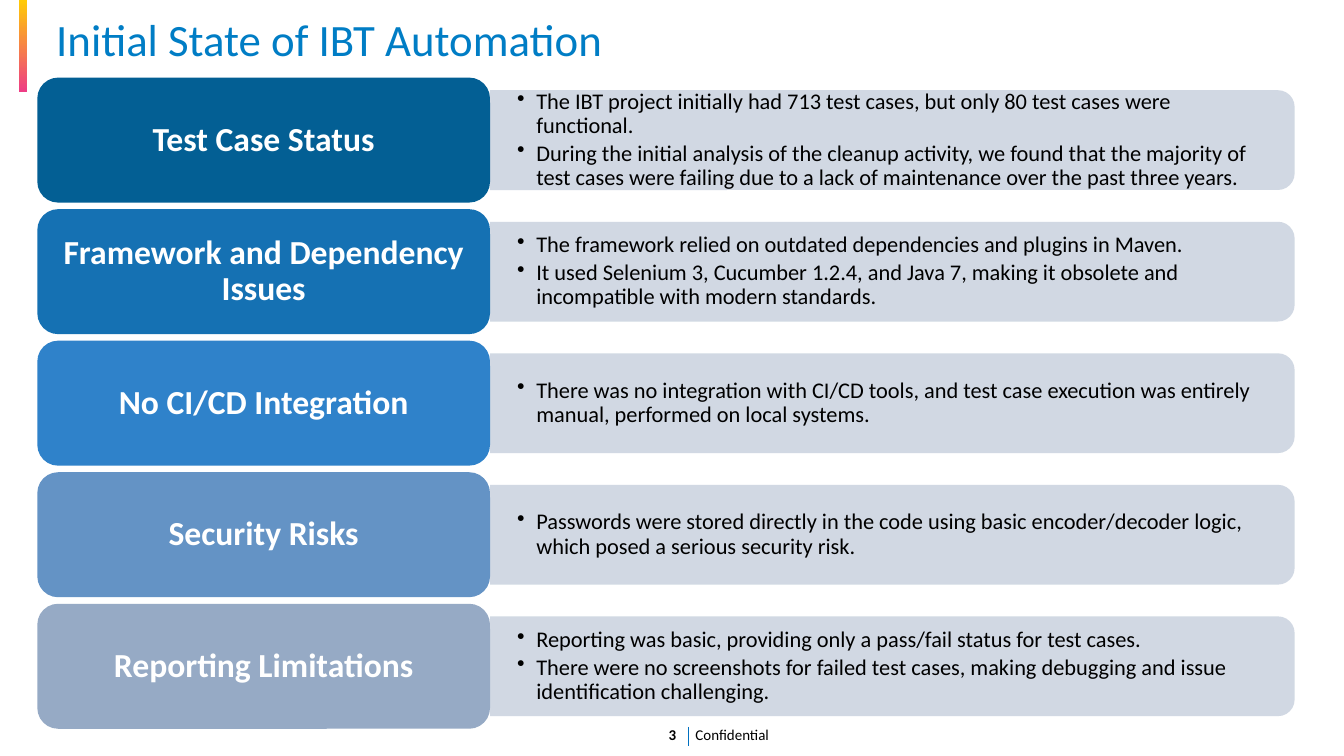
from lxml import etree
from pptx import Presentation
from pptx import util as u
from pptx.dml.color import RGBColor
from pptx.enum import shapes, text
from pptx.oxml.ns import qn

THEME = {
    "font": "Calibri", "title": "007DC5", "ink": "000000", "white": "FFFFFF",
    "panel": "CCD4E0", "panel_alpha": 90, "divider": "0070C0",
    "accent": ("FFCB05", "EE3D85"),
    "title_size": 32, "card_size": 24, "body_size": 16, "footer_size": 10.7,
}
ROWS = [
    ("Test Case Status", "035F94", [
        "The IBT project initially had 713 test cases, but only 80 test cases were functional.",
        "During the initial analysis of the cleanup activity, we found that the majority of "
        "test cases were failing due to a lack of maintenance over the past three years."]),
    ("Framework and Dependency Issues", "1571B3", [
        "The framework relied on outdated dependencies and plugins in Maven.",
        "It used Selenium 3, Cucumber 1.2.4, and Java 7, making it obsolete and "
        "incompatible with modern standards."]),
    ("No CI/CD Integration", "2F82CA", [
        "There was no integration with CI/CD tools, and test case execution was entirely "
        "manual, performed on local systems."]),
    ("Security Risks", "6493C5", [
        "Passwords were stored directly in the code using basic encoder/decoder logic, "
        "which posed a serious security risk."]),
    ("Reporting Limitations", "96AAC5", [
        "Reporting was basic, providing only a pass/fail status for test cases.",
        "There were no screenshots for failed test cases, making debugging and issue "
        "identification challenging."]),
]
# Grid in inches
TOP, PITCH = 0.77, 1.305
CARD_X, CARD_W, CARD_H = 0.37, 4.49, 1.24
PANEL_X, PANEL_W, PANEL_H = CARD_X + CARD_W, 7.98, 0.99
BODY_W, BODY_H = 7.93, 0.9

prs = Presentation()
prs.slide_width, prs.slide_height = u.Inches(13.33), u.Inches(7.5)
slide = prs.slides.add_slide(prs.slide_layouts[6])


def add_block(kind, x, y, w, h, color=None):
    """Add a borderless preset shape, or a text box when kind is None."""
    box = [u.Inches(v) for v in (x, y, w, h)]
    if kind is None:
        return slide.shapes.add_textbox(*box)
    sp = slide.shapes.add_shape(kind, *box)
    sp.shadow.inherit = False
    sp.line.fill.background()
    if color:
        sp.fill.solid()
        sp.fill.fore_color.rgb = RGBColor.from_string(color)
    return sp


def write(sp, lines, size, color, bold=False, frame=None, para=None):
    """Fill a shape with paragraphs; frame and para hold format values."""
    tf = sp.text_frame
    for name, value in {"word_wrap": True, **(frame or {})}.items():
        setattr(tf, name, value)
    for i, line in enumerate(lines):
        p = tf.paragraphs[0] if i == 0 else tf.add_paragraph()
        for name, value in (para or {}).items():
            setattr(p, name, value)
        r = p.add_run()
        r.text = line
        for name, value in {"name": THEME["font"], "size": u.Pt(size), "bold": bold}.items():
            setattr(r.font, name, value)
        r.font.color.rgb = RGBColor.from_string(color)


MIDDLE = {"vertical_anchor": text.MSO_ANCHOR.MIDDLE}
CENTER = {"alignment": text.PP_ALIGN.CENTER}

# Accent bar and title
accent = add_block(shapes.MSO_SHAPE.RECTANGLE, 0.19, 0, 0.08, 0.91)
accent.fill.gradient()
accent.fill.gradient_angle = 270
for stop, color, position in zip(accent.fill.gradient_stops, THEME["accent"], (0, 1)):
    stop.color.rgb = RGBColor.from_string(color)
    stop.position = position
title = add_block(None, 0.46, 0.07, 12.47, 0.7)
write(title, ["Initial State of IBT Automation"], THEME["title_size"], THEME["title"],
      para={"space_before": u.Pt(4)})

# Footer
number = add_block(None, 6.45, 7.09, 0.44, 0.39)
write(number, ["3"], THEME["footer_size"], THEME["ink"], True, MIDDLE, CENTER)
label = add_block(None, 6.8, 7.13, 1.76, 0.31)
write(label, ["Confidential"], THEME["footer_size"], THEME["ink"], frame=MIDDLE)
divider = slide.shapes.add_connector(
    shapes.MSO_CONNECTOR.STRAIGHT, *[u.Inches(v) for v in (6.83, 7.21, 6.83, 7.4)])
divider.line.color.rgb = RGBColor.from_string(THEME["divider"])
divider.line.width = u.Pt(0.75)
etree.SubElement(divider._element.spPr, qn("a:effectLst"))

# Topic rows: panel, bullets, card
for i, (topic, card_color, points) in enumerate(ROWS):
    card_y = TOP + i * PITCH
    mid_y = card_y + CARD_H / 2

    # The panel is drawn upright and turned so its round corners face right
    panel = add_block(shapes.MSO_SHAPE.ROUND_2_SAME_RECTANGLE,
                      PANEL_X + (PANEL_W - PANEL_H) / 2, mid_y - PANEL_W / 2,
                      PANEL_H, PANEL_W, THEME["panel"])
    panel.rotation = 90
    rgb = panel._element.spPr.find(qn("a:solidFill")).find(qn("a:srgbClr"))
    etree.SubElement(rgb, qn("a:alpha"), val=str(THEME["panel_alpha"] * 1000))

    body = add_block(None, PANEL_X, mid_y - BODY_H / 2, BODY_W, BODY_H)
    insets = {"margin_left": 0.27, "margin_right": 0.27,
              "margin_top": 0.14, "margin_bottom": 0.14}
    write(body, points, THEME["body_size"], THEME["ink"],
          frame={**MIDDLE, **{k: u.Inches(v) for k, v in insets.items()}},
          para={"line_spacing": 0.9, "space_after": u.Pt(2.4)})
    for p in body.text_frame.paragraphs:
        pPr = p._p.get_or_add_pPr()
        pPr.set("marL", str(u.Inches(0.19)))
        pPr.set("indent", str(-u.Inches(0.19)))
        etree.SubElement(pPr, qn("a:buChar"), char="•")

    card = add_block(shapes.MSO_SHAPE.ROUNDED_RECTANGLE,
                     CARD_X, card_y, CARD_W, CARD_H, card_color)
    write(card, [topic], THEME["card_size"], THEME["white"], True, MIDDLE,
          {**CENTER, "line_spacing": 0.9})

prs.save("out.pptx")
